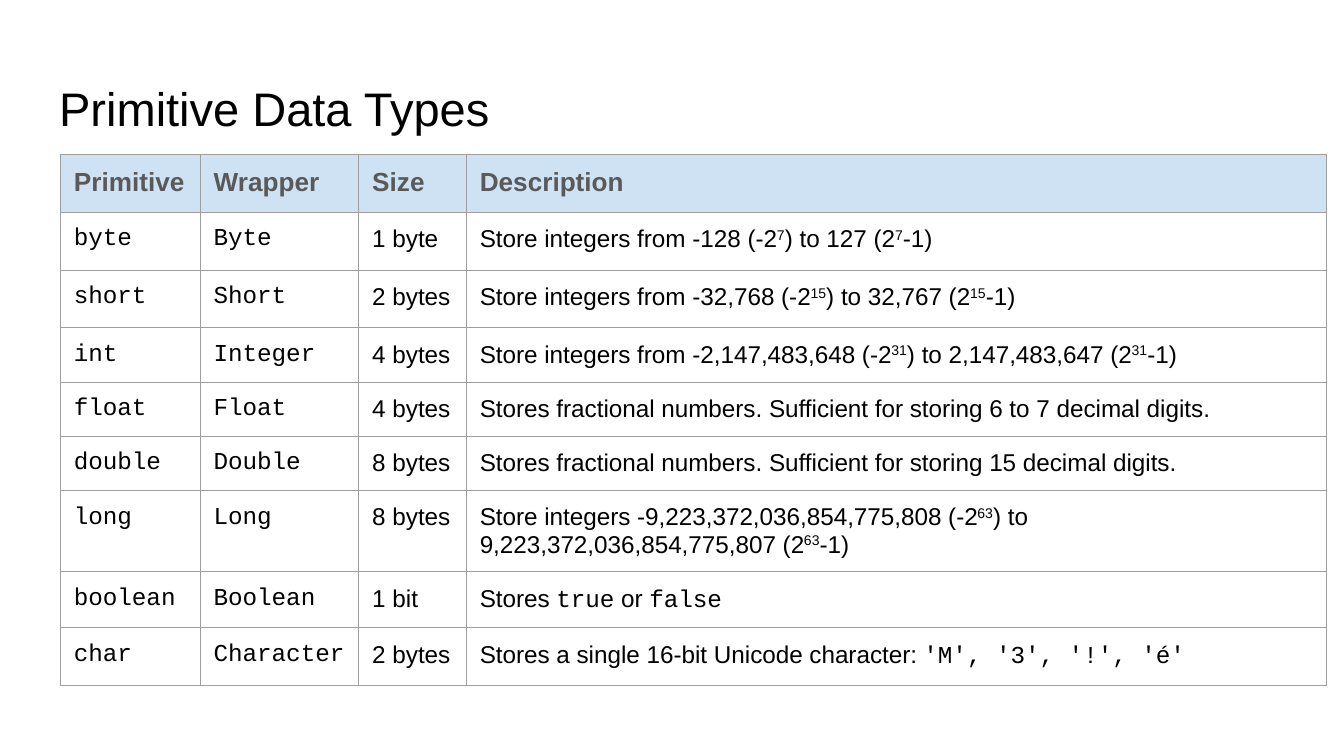
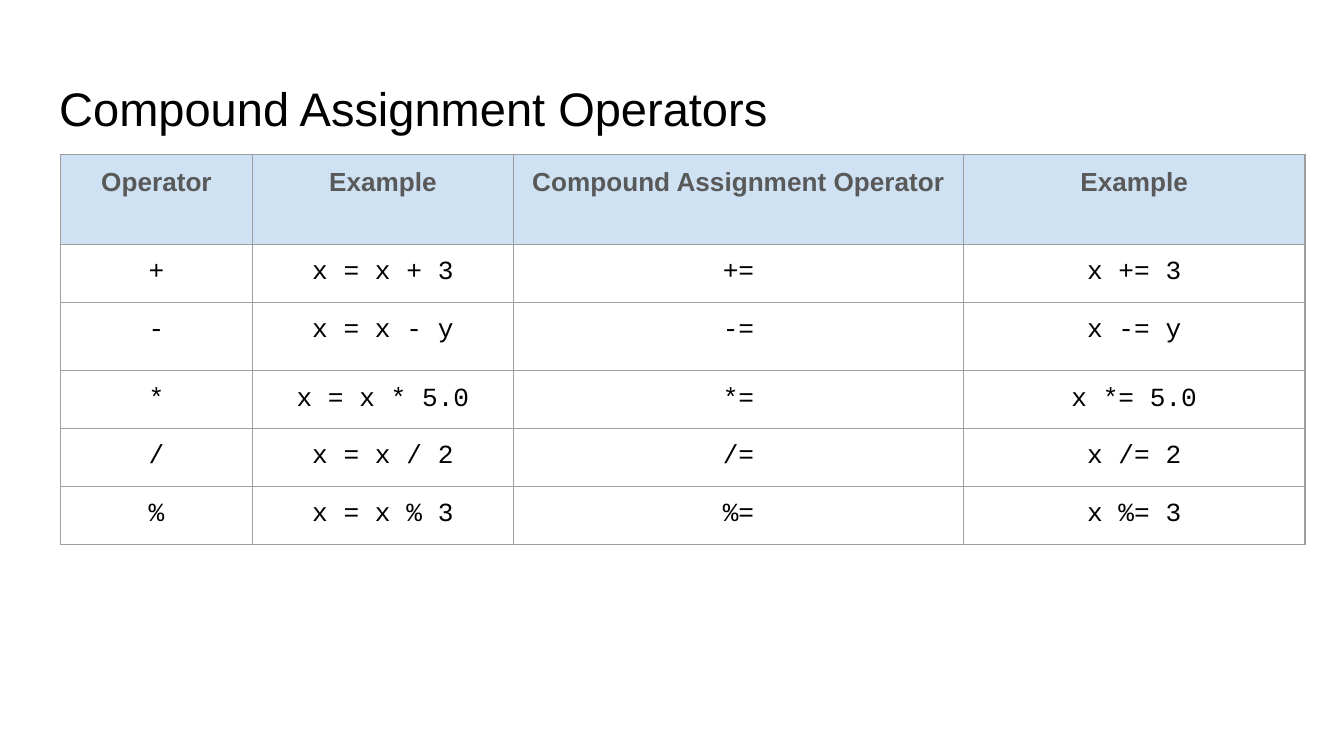
"""Build two slides of Java reference tables: primitive types and compound operators."""
import pptx
import pptx.dml.color
import pptx.enum.text
import pptx.oxml
import pptx.oxml.ns
import pptx.util

Inches, Pt = pptx.util.Inches, pptx.util.Pt
Align = pptx.enum.text.PP_ALIGN

COLOURS = {"text": "000000", "heading": "595959", "band": "CFE2F3", "rule": "9E9E9E"}
SANS, MONO = "Arial", "Courier New"
SLIDE_WIDTH = 10
SLIDE_HEIGHT = SLIDE_WIDTH * 9 / 16
INSET = Inches(0.1)

TABLES = [
    {
        "title": "Primitive Data Types",
        "columns": [1.04, 1.18, 0.8, 6.4],
        "heights": [0.43, 0.43, 0.43, 0.27, 0.23, 0.17, 0.34, 0.2, 0.43],
        "fonts": [MONO, MONO, SANS, SANS],
        "size": 13,
        "align": Align.LEFT,
        "rows": [
            ("Primitive", "Wrapper", "Size", "Description"),
            ("byte", "Byte", "1 byte", "Store integers from -128 (-2^7^) to 127 (2^7^-1)"),
            ("short", "Short", "2 bytes",
             "Store integers from -32,768 (-2^15^) to 32,767 (2^15^-1)"),
            ("int", "Integer", "4 bytes",
             "Store integers from -2,147,483,648 (-2^31^) to 2,147,483,647 (2^31^-1)"),
            ("float", "Float", "4 bytes",
             "Stores fractional numbers. Sufficient for storing 6 to 7 decimal digits."),
            ("double", "Double", "8 bytes",
             "Stores fractional numbers. Sufficient for storing 15 decimal digits."),
            ("long", "Long", "8 bytes",
             "Store integers -9,223,372,036,854,775,808 (-2^63^) to "
             "9,223,372,036,854,775,807 (2^63^-1)"),
            ("boolean", "Boolean", "1 bit", "Stores `true` or `false`"),
            ("char", "Character", "2 bytes",
             "Stores a single 16-bit Unicode character: `'M', '3', '!', 'é'`"),
        ],
    },
    {
        "title": "Compound Assignment Operators",
        "columns": [1.43, 1.94, 3.35, 2.54],
        "heights": [0.67, 0.43, 0.51, 0.43, 0.43, 0.43],
        "fonts": [MONO] * 4,
        "size": 14,
        "align": Align.CENTER,
        "rows": [
            ("Operator", "Example", "Compound Assignment Operator", "Example"),
            ("+", "x = x + 3", "+=", "x += 3"),
            ("-", "x = x - y", "-=", "x -= y"),
            ("*", "x = x * 5.0", "*=", "x *= 5.0"),
            ("/", "x = x / 2", "/=", "x /= 2"),
            ("%", "x = x % 3", "%=", "x %= 3"),
        ],
    },
]


def rgb(name):
    return pptx.dml.color.RGBColor.from_string(COLOURS[name])


def style(paragraph, font_name, size, colour, bold=False):
    font = paragraph.font
    font.name, font.size, font.bold = font_name, Pt(size), bold
    font.color.rgb = rgb(colour)


def set_insets(box):
    box.margin_left = box.margin_right = box.margin_top = box.margin_bottom = INSET


def add_marked_text(paragraph, text):
    for code_index, stretch in enumerate(text.split("`")):
        for power_index, piece in enumerate(stretch.split("^")):
            if not piece:
                continue
            run = paragraph.add_run()
            run.text = piece
            if code_index % 2:
                run.font.name = MONO
            if power_index % 2:
                run._r.get_or_add_rPr().set("baseline", "30000")


def add_borders(cell):
    properties = cell._tc.get_or_add_tcPr()
    for position, side in enumerate("LRTB"):
        properties.insert(position, pptx.oxml.parse_xml(
            f'<a:ln{side} {pptx.oxml.ns.nsdecls("a")} w="{Pt(0.75)}"><a:solidFill>'
            f'<a:srgbClr val="{COLOURS["rule"]}"/></a:solidFill></a:ln{side}>'))


def add_title(slide, text):
    title = slide.shapes.title
    title.left, title.top = Inches(0.34), Inches(0.49)
    title.width, title.height = Inches(9.32), Inches(0.63)
    frame = title.text_frame
    frame.text = text
    frame.word_wrap = True
    frame.auto_size = pptx.enum.text.MSO_AUTO_SIZE.NONE
    frame.vertical_anchor = pptx.enum.text.MSO_ANCHOR.TOP
    set_insets(frame)
    heading = frame.paragraphs[0]
    heading.alignment = Align.LEFT
    style(heading, SANS, 25.2, "text")


def fill_cell(cell, text, content, column, is_header):
    set_insets(cell)
    cell.vertical_anchor = pptx.enum.text.MSO_ANCHOR.TOP
    paragraph = cell.text_frame.paragraphs[0]
    paragraph.alignment = content["align"]
    if is_header:
        style(paragraph, SANS, 14, "heading", bold=True)
        cell.fill.solid()
        cell.fill.fore_color.rgb = rgb("band")
    else:
        style(paragraph, content["fonts"][column], content["size"], "text")
        cell.fill.background()
    add_marked_text(paragraph, text)
    add_borders(cell)


def add_reference_table(slide, content):
    rows, columns, heights = content["rows"], content["columns"], content["heights"]
    table = slide.shapes.add_table(
        len(rows), len(columns), Inches(0.45), Inches(1.15),
        Inches(sum(columns)), Inches(sum(heights))).table
    table.first_row = table.horz_banding = False
    for column, width in zip(table.columns, columns):
        column.width = Inches(width)
    for row_index, (row, height) in enumerate(zip(rows, heights)):
        table.rows[row_index].height = Inches(height)
        for column_index, text in enumerate(row):
            fill_cell(table.cell(row_index, column_index), text, content,
                      column_index, row_index == 0)


def main():
    deck = pptx.Presentation()
    deck.slide_width, deck.slide_height = Inches(SLIDE_WIDTH), Inches(SLIDE_HEIGHT)
    title_only = deck.slide_layouts[5]
    for content in TABLES:
        slide = deck.slides.add_slide(title_only)
        add_title(slide, content["title"])
        add_reference_table(slide, content)
    deck.save("out.pptx")


if __name__ == "__main__":
    main()
